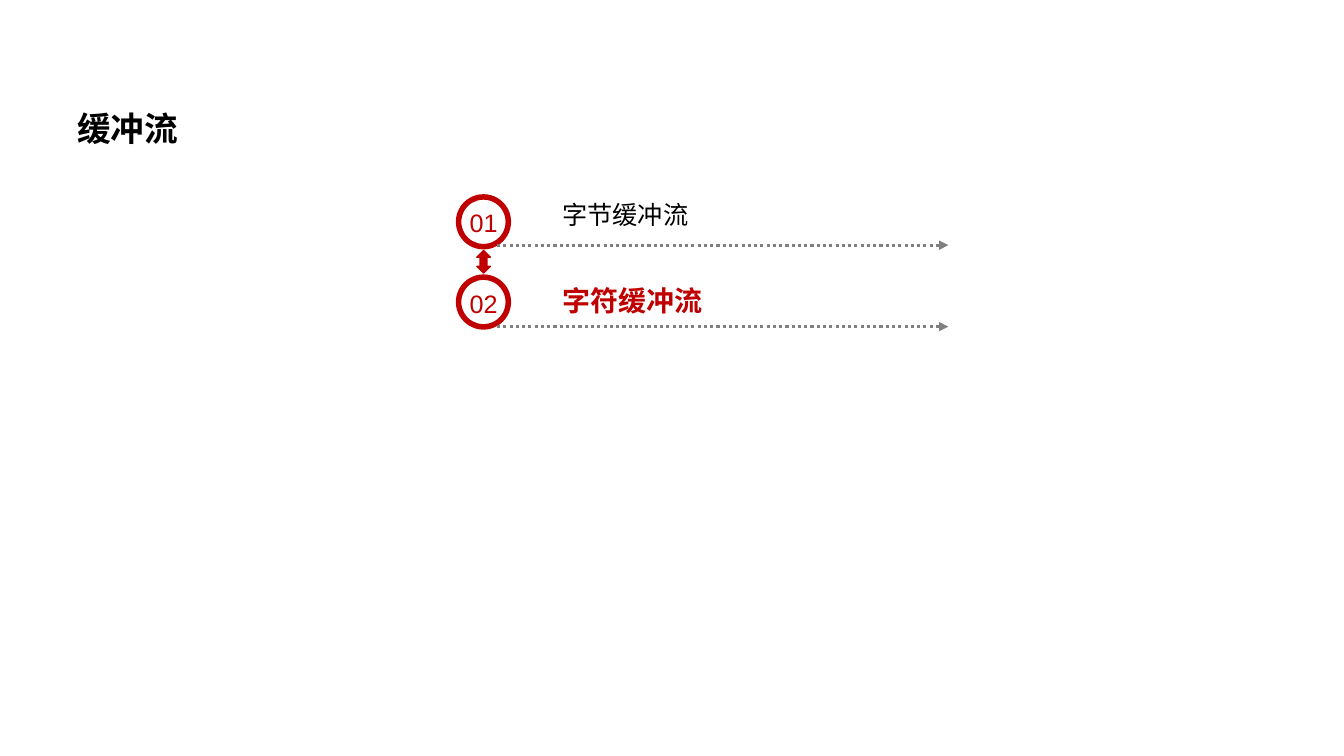
from lxml import etree
from pptx import Presentation
from pptx.dml.color import RGBColor
from pptx.enum import dml, shapes, text
from pptx.oxml import ns
from pptx.util import Pt

THEME = {
    "font": "Arial",
    "red": RGBColor(0xC0, 0x00, 0x00),
    "black": RGBColor(0x00, 0x00, 0x00),
    "gray": RGBColor(0x80, 0x80, 0x80),
    "title": Pt(24),
    "active": Pt(20),
    "normal": Pt(18),
}


def add_text(page, words, bounds, size, color, bold=False, wrap=True, spacing=1.0):
    box = page.shapes.add_textbox(*map(Pt, bounds))
    box.text_frame.word_wrap = wrap
    box.text_frame.vertical_anchor = text.MSO_ANCHOR.TOP
    para = box.text_frame.paragraphs[0]
    para.line_spacing = spacing
    span = para.add_run()
    span.text = words
    span.font.color.rgb = THEME[color]
    formats = {"name": THEME["font"], "size": THEME[size], "bold": bold}
    for name, value in formats.items():
        setattr(span.font, name, value)


def add_red_shape(page, kind, bounds):
    shape = page.shapes.add_shape(kind, *map(Pt, bounds))
    shape.shadow.inherit = False
    shape.fill.solid()
    shape.fill.fore_color.rgb = THEME["red"]
    return shape


deck = Presentation()
deck.slide_width = Pt(960)
deck.slide_height = Pt(540)
page = deck.slides.add_slide(deck.slide_layouts[6])

add_text(page, "缓冲流", (48.2, 59, 845.3, 80), "title", "black", bold=True, spacing=1.5)

topics = [
    ("01", "字节缓冲流", 138.7, 138.9, "normal", "black", False),
    ("02", "字符缓冲流", 196, 198.7, "active", "red", True),
]
for row, (number, label, ring_top, label_top, size, color, bold) in enumerate(topics):
    offset = row * 58.2

    ring = add_red_shape(page, shapes.MSO_SHAPE.DONUT, (325.6, ring_top, 39.5, 39.5))
    ring.adjustments[0] = 0.1
    ring.line.fill.background()

    add_text(page, number, (328.3, 144.2 + offset, 34.6, 29), "normal", "red", wrap=False)
    add_text(page, label, (394.6, label_top, 285, 30), size, color, bold=bold)

    line_y = Pt(175.1 + offset)
    arrow = page.shapes.add_connector(
        shapes.MSO_CONNECTOR.STRAIGHT, Pt(355), line_y, Pt(677.5), line_y
    )
    arrow.line.color.rgb = THEME["gray"]
    arrow.line.width = Pt(2.25)
    arrow.line.dash_style = dml.MSO_LINE.ROUND_DOT
    outline = arrow.line._get_or_add_ln()
    etree.SubElement(outline, ns.qn("a:tailEnd"), type="triangle")
    etree.SubElement(arrow._element.spPr, ns.qn("a:effectLst"))

link = add_red_shape(page, shapes.MSO_SHAPE.UP_DOWN_ARROW, (340.6, 178.9, 9.7, 16.2))
link.line.color.rgb = THEME["red"]
link.line.width = Pt(1)

deck.save("out.pptx")
